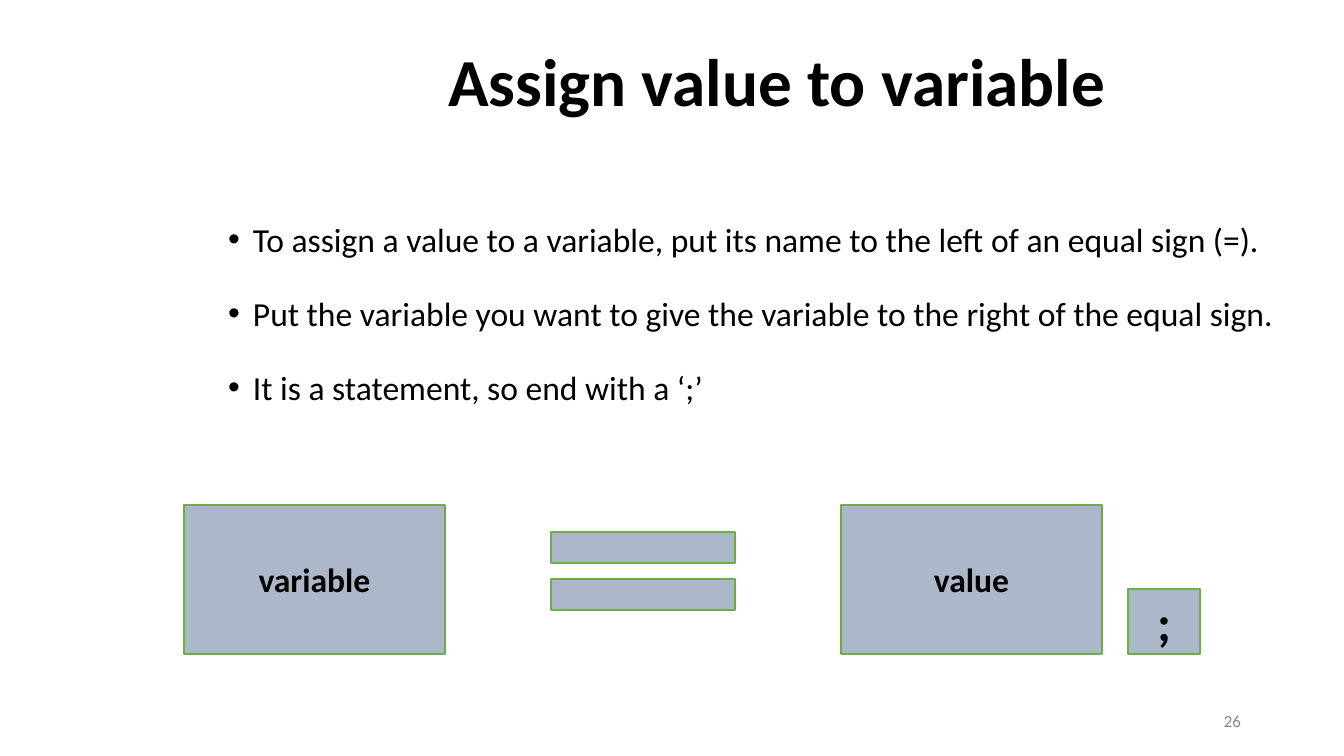
from pptx import Presentation
from pptx.dml.color import RGBColor
from pptx.enum.shapes import MSO_SHAPE
from pptx.enum.text import MSO_ANCHOR, MSO_AUTO_SIZE, PP_ALIGN
from pptx.util import Pt

EMU_PER_PX = 914400 / 134.4
BLACK = "000000"
BLOCK_FILL = "ACB8CA"
BLOCK_LINE = "70AD47"
POINTS = [
    "To assign a value to a variable, put its name to the left of an equal sign (=).",
    "Put the variable you want to give the variable to the right of the equal sign.",
    "It is a statement, so end with a ‘;’",
]


def px(length):
    return round(length * EMU_PER_PX)


def color(hex_code):
    return RGBColor.from_string(hex_code)


def place(part, left, top, width, height):
    part.left, part.top = px(left), px(top)
    part.width, part.height = px(width), px(height)


def set_frame(frame, anchor=MSO_ANCHOR.MIDDLE, top_inset=5):
    frame.word_wrap = True
    frame.auto_size = MSO_AUTO_SIZE.NONE
    frame.vertical_anchor = anchor
    frame.margin_left = frame.margin_right = px(10)
    frame.margin_top, frame.margin_bottom = px(top_inset), px(5)


def write(paragraph, text, size=18, ink=BLACK, bold=False,
          align=PP_ALIGN.CENTER, line_spacing=1.0, space_after=0):
    paragraph.alignment = align
    paragraph.line_spacing = line_spacing
    paragraph.space_before = Pt(0)
    paragraph.space_after = Pt(space_after)
    run = paragraph.add_run()
    run.text = text
    run.font.name = "Calibri"
    run.font.size = Pt(size)
    run.font.bold = bold
    run.font.color.rgb = color(ink)


def add_title(slide, text):
    title = slide.shapes.title
    place(title, 286, 39, 982, 91)
    set_frame(title.text_frame)
    write(title.text_frame.paragraphs[0], text, size=36, bold=True, line_spacing=0.9)


def add_bullets(slide, points):
    body = slide.placeholders[1]
    place(body, 218, 160, 1094, 530)
    frame = body.text_frame
    set_frame(frame, anchor=MSO_ANCHOR.TOP, top_inset=59)
    for index, point in enumerate(points):
        paragraph = frame.add_paragraph() if index else frame.paragraphs[0]
        write(paragraph, point, align=PP_ALIGN.LEFT, space_after=18)
        properties = paragraph._p.get_or_add_pPr()
        properties.set("marL", str(px(25)))
        properties.set("indent", str(-px(25)))


def add_block(slide, preset, left, top, width, height):
    block = slide.shapes.add_shape(preset, px(left), px(top), px(width), px(height))
    block.shadow.inherit = False
    block.fill.solid()
    block.fill.fore_color.rgb = color(BLOCK_FILL)
    block.line.color.rgb = color(BLOCK_LINE)
    block.line.width = Pt(1)
    return block


def add_labelled_block(slide, label, left, top, width, height, size=18):
    block = add_block(slide, MSO_SHAPE.RECTANGLE, left, top, width, height)
    set_frame(block.text_frame)
    write(block.text_frame.paragraphs[0], label, size=size, bold=True)


def add_equal_sign(slide):
    equal_sign = add_block(slide, MSO_SHAPE.MATH_EQUAL, 518, 505, 250, 132)
    equal_sign.adjustments[0] = 0.235
    equal_sign.adjustments[1] = 0.118


def add_page_number(slide, number):
    page_number = slide.shapes.add_textbox(px(949), px(701), px(302), px(40))
    set_frame(page_number.text_frame)
    write(page_number.text_frame.paragraphs[0], number, size=9, ink="888888",
          align=PP_ALIGN.RIGHT)


def main():
    deck = Presentation()
    deck.slide_width, deck.slide_height = px(1344), px(756)
    slide = deck.slides.add_slide(deck.slide_layouts[1])
    add_title(slide, "Assign value to variable")
    add_bullets(slide, POINTS)
    add_equal_sign(slide)
    add_labelled_block(slide, "variable", 184, 505, 261, 149)
    add_labelled_block(slide, "value", 841, 505, 261, 149)
    add_labelled_block(slide, ";", 1128, 589, 72, 65, size=27)
    add_page_number(slide, "26")
    deck.save("out.pptx")


if __name__ == "__main__":
    main()
